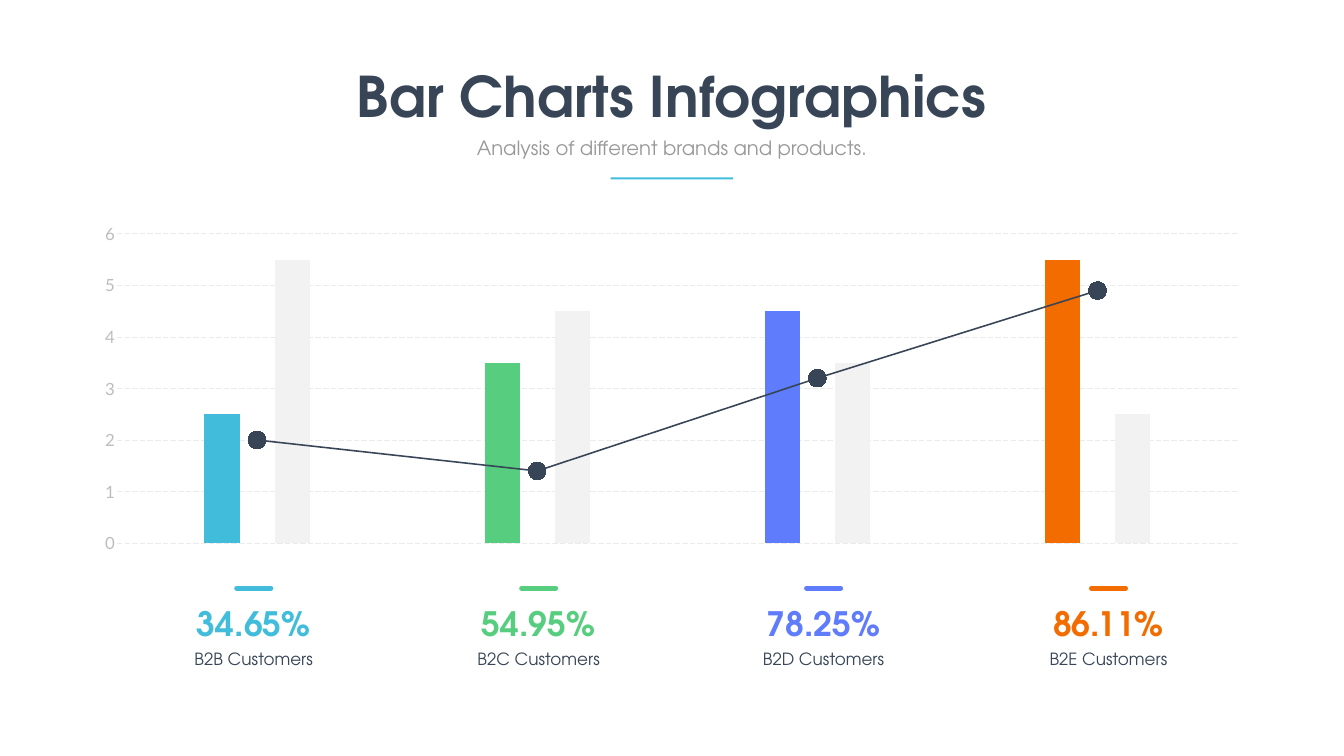
"""Build the bar chart infographics slide."""
from copy import deepcopy
from lxml.etree import SubElement
from pptx import Presentation
from pptx.chart.data import CategoryChartData
from pptx.dml.color import RGBColor
from pptx.enum.chart import XL_CHART_TYPE as ChartType, XL_MARKER_STYLE as MarkerStyle
from pptx.enum.chart import XL_TICK_MARK as TickMark
from pptx.enum.dml import MSO_LINE_DASH_STYLE as DashStyle
from pptx.enum.shapes import MSO_CONNECTOR as Connector, MSO_SHAPE as Shape
from pptx.enum.text import MSO_AUTO_SIZE as AutoSize, PP_ALIGN as Align
from pptx.oxml import parse_xml
from pptx.oxml.ns import nsdecls, qn
from pptx.util import Cm, Pt

BLUE = RGBColor(0x41, 0xBD, 0xDB)
GREEN = RGBColor(0x57, 0xCD, 0x7F)
VIOLET = RGBColor(0x5E, 0x7C, 0xFB)
ORANGE = RGBColor(0xF3, 0x6C, 0x00)
NAVY = RGBColor(0x37, 0x45, 0x56)
GREY = RGBColor(0x99, 0x99, 0x99)
LABEL_GREY = RGBColor(0xBD, 0xBD, 0xBD)
GRID_GREY = RGBColor(0xEB, 0xEB, 0xEB)
BAR_GREY = RGBColor(0xF2, 0xF2, 0xF2)
TEXT_FONT = "TeX Gyre Adventor"
CHART_FONT = "Lato"


def set_values(target, values):
    for name, value in values.items():
        setattr(target, name, value)


def add_text(slide, box, text, size, color, bold=False, wrap=True):
    shape = slide.shapes.add_textbox(*map(Cm, box))
    frame = shape.text_frame
    set_values(frame, {"word_wrap": wrap, "auto_size": AutoSize.SHAPE_TO_FIT_TEXT})
    paragraph = frame.paragraphs[0]
    set_values(paragraph, {"text": text, "alignment": Align.CENTER})
    font = paragraph.runs[0].font
    set_values(font, {"name": TEXT_FONT, "size": Pt(size), "bold": bold})
    font.color.rgb = color


presentation = Presentation()
set_values(presentation, {"slide_width": Cm(67.74), "slide_height": Cm(38.1)})
slide = presentation.slides.add_slide(presentation.slide_layouts[6])

chart_data = CategoryChartData()
chart_data.categories = ["1", "2", "3", "4"]
chart_data.add_series("Series 1", (2.5, 3.5, 4.5, 5.5))
chart_data.add_series("Series 2", (5.5, 4.5, 3.5, 2.5))
chart_data.add_series("Series 3", (2, 1.4, 3.2, 4.9))
chart = slide.shapes.add_chart(
    ChartType.COLUMN_CLUSTERED, Cm(4.11), Cm(10.92), Cm(59.46), Cm(17.32), chart_data
).chart
set_values(chart, {"has_legend": False, "has_title": False})
set_values(chart.font, {"name": CHART_FONT, "size": Pt(24)})
chart.font.color.rgb = GREY

chart.category_axis.visible = False
value_axis = chart.value_axis
set_values(value_axis, {
    "minimum_scale": 0, "maximum_scale": 6, "major_unit": 1,
    "major_tick_mark": TickMark.NONE, "minor_tick_mark": TickMark.NONE,
    "has_major_gridlines": True,
})
value_axis.format.line.fill.background()
grid_line = value_axis.major_gridlines.format.line
set_values(grid_line, {"width": Pt(1), "dash_style": DashStyle.LONG_DASH})
grid_line.color.rgb = GRID_GREY
label_font = value_axis.tick_labels.font
set_values(label_font, {"name": CHART_FONT, "size": Pt(24)})
label_font.color.rgb = LABEL_GREY

bar_plot = chart.plots[0]
set_values(bar_plot, {"gap_width": 500, "overlap": -100, "vary_by_categories": False})
customer_bars, grey_bars, trend_bars = bar_plot.series
for series, color in ((customer_bars, BLUE), (grey_bars, BAR_GREY)):
    series.format.fill.solid()
    series.format.fill.fore_color.rgb = color
for index, color in enumerate((GREEN, VIOLET, ORANGE), start=1):
    fill = customer_bars.points[index].format.fill
    fill.solid()
    fill.fore_color.rgb = color

trend_element = trend_bars._element
bar_element = trend_element.getparent()
line_element = parse_xml(
    f'<c:lineChart {nsdecls("c")}><c:grouping val="standard"/>'
    '<c:varyColors val="0"/><c:marker val="1"/></c:lineChart>'
)
for invert in trend_element.findall(qn("c:invertIfNegative")):
    trend_element.remove(invert)
line_element.insert(2, trend_element)
for axis_id in bar_element.findall(qn("c:axId")):
    line_element.append(deepcopy(axis_id))
bar_element.addnext(line_element)

trend = chart.plots[1].series[0]
trend.smooth = False
trend.format.line.width = Pt(2.25)
trend.format.line.color.rgb = NAVY
set_values(trend.marker, {"style": MarkerStyle.CIRCLE, "size": 25})
trend.marker.format.fill.solid()
trend.marker.format.fill.fore_color.rgb = NAVY
trend.marker.format.line.color.rgb = NAVY

plot_area = bar_element.getparent()
for layout in plot_area.findall(qn("c:layout")):
    plot_area.remove(layout)
plot_area.insert(0, parse_xml(
    f'<c:layout {nsdecls("c")}><c:manualLayout><c:layoutTarget val="inner"/>'
    '<c:xMode val="edge"/><c:yMode val="edge"/><c:x val="0.03"/><c:y val="0.05"/>'
    '<c:w val="0.95"/><c:h val="0.9"/></c:manualLayout></c:layout>'
))

customers = (
    ("34.65%", "B2B Customers", BLUE),
    ("54.95%", "B2C Customers", GREEN),
    ("78.25%", "B2D Customers", VIOLET),
    ("86.11%", "B2E Customers", ORANGE),
)
column_width = 12.32
dash_width = 1.72
for index, (percentage, label, color) in enumerate(customers):
    left = 6.63 + 14.36 * index
    add_text(slide, (left, 30.25, column_width, 2.31), percentage, 48, color, bold=True)
    add_text(slide, (left, 32.56, column_width, 1.27), label, 24, NAVY)
    dash_left = left + (column_width - dash_width) / 2
    dash = slide.shapes.add_connector(
        Connector.STRAIGHT, Cm(dash_left), Cm(29.64), Cm(dash_left + dash_width), Cm(29.64)
    )
    dash.line.width = Pt(7)
    dash.line.color.rgb = color
    dash.line._ln.set("cap", "rnd")
    SubElement(dash._element.spPr, qn("a:effectLst"))

add_text(slide, (17.58, 2.97, 32.56, 3.68), "Bar Charts Infographics", 80, NAVY,
         bold=True, wrap=False)
add_text(slide, (21.72, 6.73, 24.28, 1.45), "Analysis of different brands and products.",
         28, GREY)
underline = slide.shapes.add_shape(Shape.RECTANGLE, Cm(30.78), Cm(8.94), Cm(6.17), Cm(0.1))
underline.shadow.inherit = False
underline.fill.solid()
underline.fill.fore_color.rgb = BLUE
underline.line.fill.background()

presentation.save("out.pptx")
